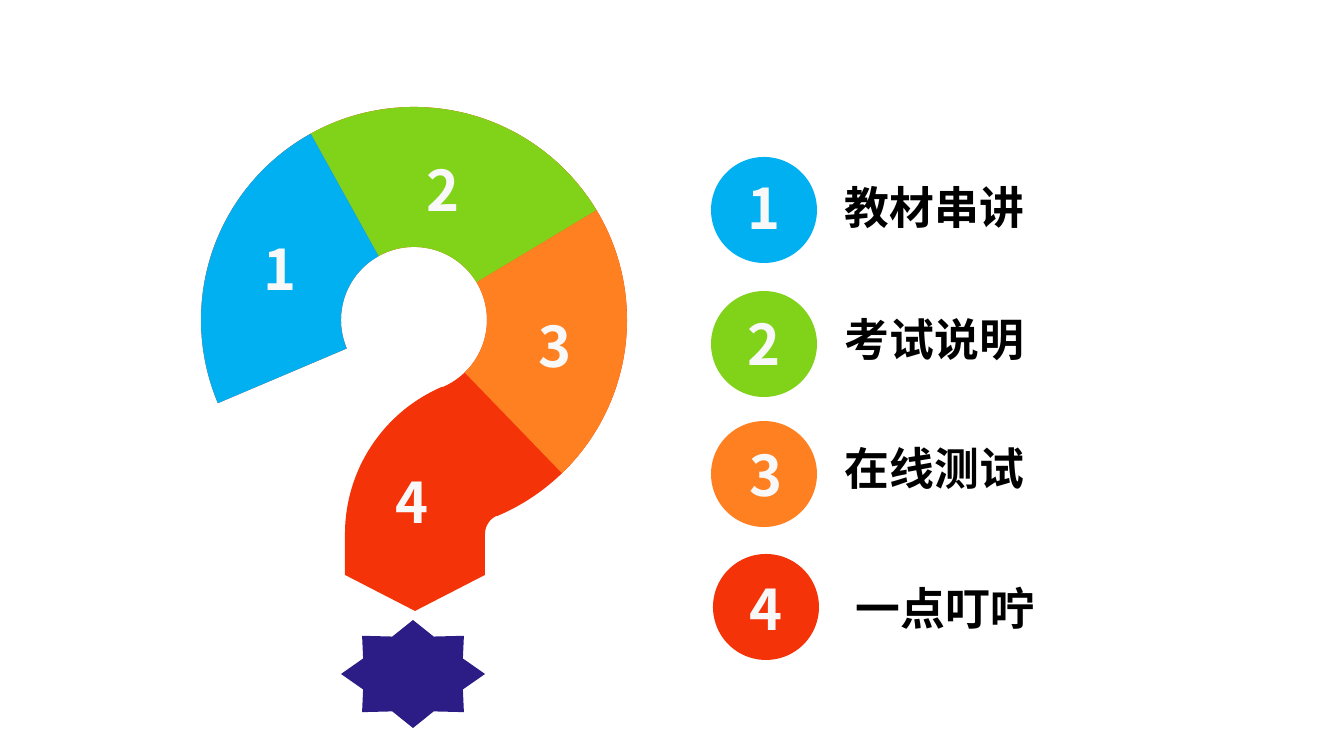
import dataclasses
import itertools
import math
from typing import Any

import lxml.etree
import pptx
import pptx.dml.color
import pptx.enum.shapes
import pptx.enum.text
import pptx.oxml.ns
import pptx.util

PX = 914400 / 100.8
STEPS_PER_PX = 10
FONT = "Noto Sans CJK SC"
SHAPE = pptx.enum.shapes.MSO_SHAPE

RING_CENTER = (414, 320)
OUTER_RADIUS = 213
INNER_RADIUS = 73
STEM_CENTER = (505, 534)
STEM_OUTER_RADIUS = 160
STEM_INNER_RADIUS = 20
RING_START, RING_END = 157, 427

Point = tuple[float, float]
Step = tuple[Point, ...]
STEM_TIP: list[Step] = [((485, 575),), ((415, 611),), ((345, 575),)]


@dataclasses.dataclass(frozen=True)
class Topic:
    number: str
    title: str
    color: str
    ring_digit: tuple[int, int]
    badge: tuple[int, int]
    badge_digit: tuple[int, int]
    label: tuple[int, int]


@dataclasses.dataclass(frozen=True)
class Sector:
    start: int
    end: int
    color: str


TOPICS = [
    Topic("1", "教材串讲", "00B0F0", (254, 230), (711, 157), (738, 169), (835, 175)),
    Topic("2", "考试说明", "81D31A", (417, 151), (711, 291), (738, 305), (835, 307)),
    Topic("3", "在线测试", "FF8021", (529, 307), (711, 421), (740, 436), (835, 436)),
    Topic("4", "一点叮咛", "F43308", (386, 463), (713, 554), (740, 570), (846, 576)),
]
SECTORS = [
    Sector(241, 329, TOPICS[1].color),
    Sector(329, 406, TOPICS[2].color),
    Sector(RING_START, 241, TOPICS[0].color),
]


def px(length: float) -> int:
    return round(length * PX)


def rgb(color: str) -> pptx.dml.color.RGBColor:
    return pptx.dml.color.RGBColor.from_string(color)


def paint(shape: Any, color: str) -> None:
    shape.shadow.inherit = False
    shape.fill.solid()
    shape.fill.fore_color.rgb = rgb(color)
    shape.line.fill.background()


def add_preset(shapes: Any, kind: Any, at: tuple[int, int], size: tuple[int, int], color: str) -> Any:
    shape = shapes.add_shape(kind, *map(px, at + size))
    paint(shape, color)
    return shape


def arc(center: Point, radius: int, start: int, end: int) -> list[Step]:
    def spot(degrees: float, tangent: float = 0) -> Point:
        angle = math.radians(degrees)
        cos, sin = math.cos(angle), math.sin(angle)
        return (
            center[0] + radius * (cos - tangent * sin),
            center[1] + radius * (sin + tangent * cos),
        )

    low, high = sorted((start, end))
    quarters = [angle for angle in range(0, 450, 90) if low < angle < high]
    stops = sorted([low, *quarters, high], reverse=start > end)
    steps: list[Step] = [(spot(start),)]
    for a, b in itertools.pairwise(stops):
        pull = 4 / 3 * math.tan(math.radians(b - a) / 4)
        steps.append((spot(a, pull), spot(b, -pull), spot(b)))
    return steps


def add_outline(shapes: Any, steps: list[Step], color: str) -> None:
    fine = [(x * STEPS_PER_PX, y * STEPS_PER_PX) for step in steps for x, y in step]
    builder = shapes.build_freeform(*fine[0], scale=PX / STEPS_PER_PX)
    builder.add_line_segments(fine[1:], close=True)
    shape = builder.convert_to_shape()
    lines = iter(list(shape._element.iter(pptx.oxml.ns.qn("a:lnTo"))))
    for step in steps[1:]:
        parts = list(itertools.islice(lines, len(step)))
        if len(parts) == 3:
            curve = lxml.etree.Element(pptx.oxml.ns.qn("a:cubicBezTo"))
            parts[0].addprevious(curve)
            for part in parts:
                curve.append(part[0])
                part.getparent().remove(part)
    paint(shape, color)


def write(shape: Any, text: str, *, size: int, color: str, wrap: bool = False) -> None:
    frame = shape.text_frame
    frame.word_wrap = wrap
    frame.auto_size = pptx.enum.text.MSO_AUTO_SIZE.SHAPE_TO_FIT_TEXT
    frame.vertical_anchor = pptx.enum.text.MSO_ANCHOR.TOP
    paragraph = frame.paragraphs[0]
    paragraph.alignment = pptx.enum.text.PP_ALIGN.LEFT
    run = paragraph.add_run()
    run.text = text
    run.font.size = pptx.util.Pt(size)
    run.font.bold = True
    run.font.color.rgb = rgb(color)
    run.font.name = FONT
    east_asian = lxml.etree.SubElement(run._r.get_or_add_rPr(), pptx.oxml.ns.qn("a:ea"))
    east_asian.set("typeface", FONT)


def add_question_mark(shapes: Any) -> None:
    body = (
        arc(RING_CENTER, OUTER_RADIUS, RING_START, RING_END)
        + arc(STEM_CENTER, STEM_INNER_RADIUS, 247, 180)
        + STEM_TIP
        + arc(STEM_CENTER, STEM_OUTER_RADIUS, 180, 247)
        + arc(RING_CENTER, INNER_RADIUS, RING_END, RING_START)
    )
    add_preset(shapes, SHAPE.STAR_8_POINT, (341, 620), (144, 108), "2C1D86")
    add_outline(shapes, body, TOPICS[3].color)
    for sector in SECTORS:
        outer = arc(RING_CENTER, OUTER_RADIUS, sector.start, sector.end)
        inner = arc(RING_CENTER, INNER_RADIUS, sector.end, sector.start)
        add_outline(shapes, outer + inner, sector.color)


def add_topic(shapes: Any, topic: Topic) -> None:
    digit_size = (48, 78)
    ring_digit = shapes.add_textbox(*map(px, topic.ring_digit + digit_size))
    write(ring_digit, topic.number, size=40, color="F8F8F8")
    badge = shapes.add_group_shape().shapes
    add_preset(badge, SHAPE.OVAL, topic.badge, (106, 106), topic.color)
    badge_digit = add_preset(badge, SHAPE.RECTANGLE, topic.badge_digit, digit_size, topic.color)
    write(badge_digit, topic.number, size=40, color="F8F8F8")
    label = shapes.add_textbox(*map(px, topic.label + (221, 64)))
    write(label, topic.title, size=32, color="000000", wrap=True)


def main() -> None:
    deck = pptx.Presentation()
    deck.slide_width = px(1344)
    deck.slide_height = px(756)
    shapes = deck.slides.add_slide(deck.slide_layouts[6]).shapes
    add_question_mark(shapes)
    for topic in TOPICS:
        add_topic(shapes, topic)
    deck.save("out.pptx")


if __name__ == "__main__":
    main()
